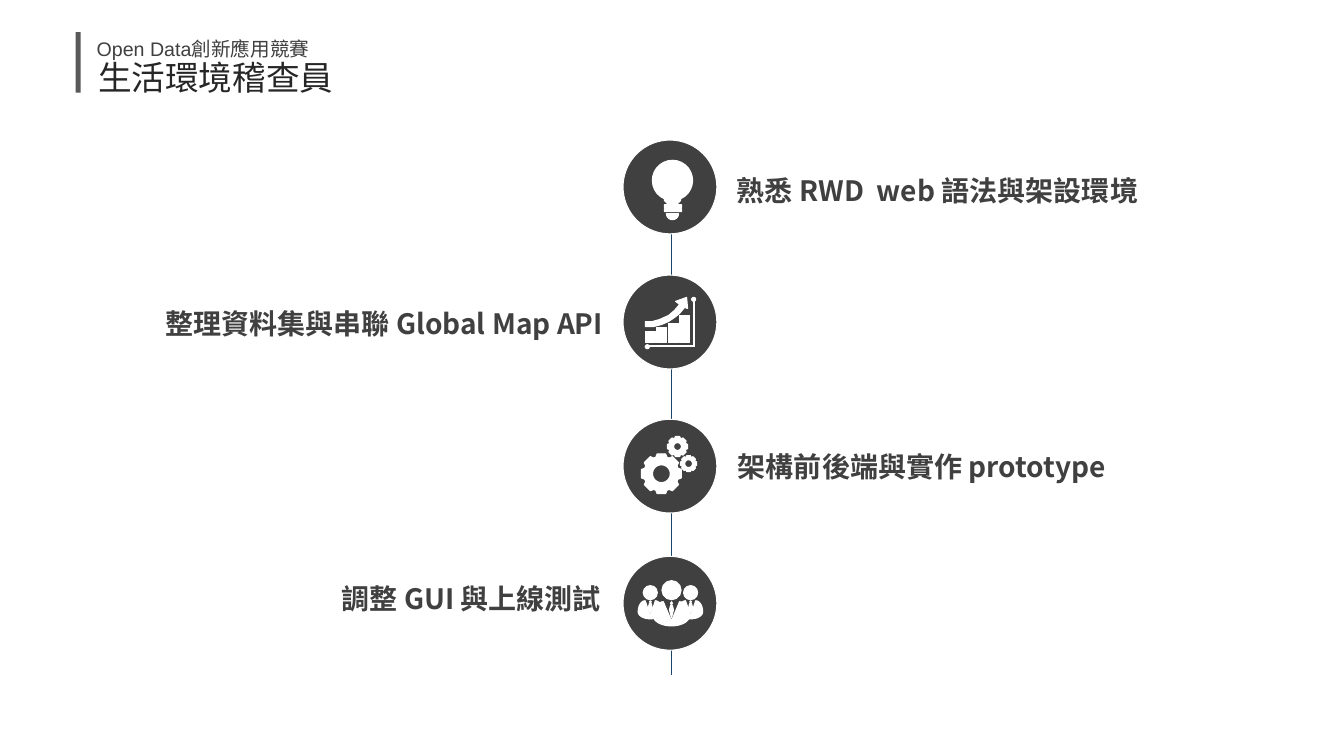
from math import cos, radians, sin

from lxml.etree import SubElement
from pptx import Presentation
from pptx.dml.color import RGBColor
from pptx.enum.shapes import MSO_CONNECTOR, MSO_SHAPE as SHAPE
from pptx.enum.text import MSO_AUTO_SIZE as AUTO, PP_ALIGN as ALIGN
from pptx.oxml.ns import qn
from pptx.util import Pt

PX = 9144  # 100 px to the inch
WHITE = RGBColor(0xFF, 0xFF, 0xFF)
DARK = RGBColor(0x40, 0x40, 0x40)
BLACK = RGBColor(0x26, 0x26, 0x26)
GRAY = RGBColor(0x59, 0x59, 0x59)
NAVY = RGBColor(0x1B, 0x43, 0x67)
CJK = "Noto Sans CJK SC"

SUBTITLE = {"size": Pt(14), "name": "Arial"}
TITLE = {"size": Pt(24), "name": CJK}
STEP = {"size": Pt(20), "name": CJK, "bold": True}


def add_text(s, box, text, font, color=DARK, align=ALIGN.LEFT, wrap=True, spacing=1.0):
    tf = s.shapes.add_textbox(*(v * PX for v in box)).text_frame
    for name, value in {"word_wrap": wrap, "auto_size": AUTO.SHAPE_TO_FIT_TEXT}.items():
        setattr(tf, name, value)
    p = tf.paragraphs[0]
    for name, value in {"alignment": align, "line_spacing": spacing}.items():
        setattr(p, name, value)
    r = p.add_run()
    r.text = text
    for name, value in font.items():
        setattr(r.font, name, value)
    r.font.color.rgb = color
    SubElement(r.font._element, qn("a:ea")).set("typeface", CJK)


def paint(sp, fill, line=WHITE, width=0.75):
    sp.shadow.inherit = False
    sp.fill.solid()
    sp.fill.fore_color.rgb = fill
    if line is None:
        sp.line.fill.background()
    else:
        sp.line.color.rgb = line
        sp.line.width = Pt(width)


def add_preset(s, kind, box, fill=WHITE, line=WHITE):
    sp = s.shapes.add_shape(kind, *(v * PX for v in box))
    paint(sp, fill, line)


def add_outline(s, *contours, fill=WHITE, line=WHITE, width=0.75):
    scaled = [[(x * PX, y * PX) for x, y in c] for c in contours]
    builder = s.shapes.build_freeform(*scaled[0][0], scale=1.0)
    builder.add_line_segments(scaled[0][1:], close=True)
    for contour in scaled[1:]:
        builder.move_to(*contour[0])
        builder.add_line_segments(contour[1:], close=True)
    paint(builder.convert_to_shape(), fill, line, width)


def add_axis(s, x, top, bottom):
    line = s.shapes.add_connector(MSO_CONNECTOR.STRAIGHT, x * PX, top * PX, x * PX, bottom * PX)
    line.line.color.rgb = NAVY
    line.line.width = Pt(0.75)
    SubElement(line._element.spPr, qn("a:effectLst"))


def arc(cx, cy, rx, ry, start, end, steps=24):
    angles = [radians(start + (end - start) * i / steps) for i in range(steps + 1)]
    return [(cx + rx * cos(a), cy + ry * sin(a)) for a in angles]


def add_disc(s, top):
    add_preset(s, SHAPE.OVAL, (618, top, 93, 93), DARK)


# Icons
def add_bulb(s):
    neck = [(675, 199), (672, 202), (662, 202), (659, 199)]
    add_outline(s, arc(667, 179, 20, 20, 114, 426) + neck)
    for top in (203, 207):
        add_preset(s, SHAPE.ROUNDED_RECTANGLE, (659, top, 17, 3))
    add_outline(s, arc(667, 212, 6, 6, 0, 180))


def add_growth(s):
    add_outline(s, [(682, 306), (681, 295), (670, 299), (674, 302), (669, 308), (663, 313),
                    (654, 317), (647, 319), (640, 319), (640, 324), (648, 324), (656, 322),
                    (663, 319), (669, 315), (674, 311), (679, 305)])
    for x, height in zip((640, 651, 663, 674), (11, 15, 19, 27)):
        add_preset(s, SHAPE.RECTANGLE, (x, 340 - height, 10, height))
    for box in ((688, 297, 1, 47), (642, 343, 47, 1)):
        add_preset(s, SHAPE.RECTANGLE, box)
    for x, y in ((686, 295), (640, 342)):
        add_preset(s, SHAPE.OVAL, (x, y, 4, 4))


def add_gear(s, cx, cy, radius, hole):
    corners = ((-18, 0.86), (-12, 1), (12, 1), (18, 0.86))
    teeth = [arc(cx, cy, radius * k, radius * k, mid + turn, 0)[0]
             for mid in range(0, 360, 45) for turn, k in corners]
    add_outline(s, teeth, arc(cx, cy, hole, hole, 360, 0), width=1)


def add_person(s, cx, head, top, half, neck, mid, tip, bottom, knot):
    """head is (top, diameter); half and neck are distances from the middle."""
    head_top, d = head
    add_preset(s, SHAPE.OVAL, (cx - d / 2, head_top, d, d))
    arm, rise = half - neck, mid - top
    add_outline(s, arc(cx + neck, mid, arm, rise, 0, -90) + [(cx, tip)]
                + arc(cx - neck, mid, arm, rise, 270, 180)
                + arc(cx, mid, half, bottom - mid, 180, 0))
    middle = (top + knot) / 2
    add_outline(s, [(cx, top), (cx + 1, middle), (cx, knot), (cx - 1, middle)])
    add_outline(s, [(cx, knot), (cx + 1, knot + 1), (cx + 2, knot + 5), (cx, tip - 3),
                    (cx - 2, knot + 5), (cx - 1, knot + 1)])


def main():
    prs = Presentation()
    prs.slide_width, prs.slide_height = 1333 * PX, 750 * PX
    s = prs.slides.add_slide(prs.slide_layouts[6])

    # Heading
    add_text(s, (86, 25, 300, 41), "Open Data創新應用競賽", SUBTITLE, spacing=1.3)
    add_text(s, (86, 52, 256, 50), "生活環境稽查員", TITLE, BLACK, ALIGN.CENTER, wrap=False)
    add_preset(s, SHAPE.RECTANGLE, (75, 32, 5, 60), GRAY, None)

    # Timeline steps
    add_axis(s, 666, 154, 670)
    for box, text, align in (
        ((721, 167, 486, 44), "熟悉 RWD  web 語法與架設環境", ALIGN.LEFT),
        ((127, 299, 481, 44), "整理資料集與串聯 Global Map API", ALIGN.RIGHT),
        ((722, 441, 468, 44), "架構前後端與實作 prototype", ALIGN.LEFT),
        ((210, 572, 396, 44), "調整 GUI 與上線測試", ALIGN.RIGHT),
    ):
        add_text(s, box, text, STEP, align=align)
    for top in (139, 273, 416, 552):
        add_disc(s, top)

    # Icons on the discs
    add_bulb(s)
    add_growth(s)
    for gear in ((656, 470, 20, 9), (672, 443, 10, 4), (683, 460, 8, 4)):
        add_gear(s, *gear)
    for cx in (645, 685):
        add_person(s, cx, (581, 14), 596, 12, 5, 607, 611, 614, 598)
    add_person(s, 666, (576, 19), 597, 18, 8, 611, 616, 621, 600)

    prs.save("out.pptx")


if __name__ == "__main__":
    main()
